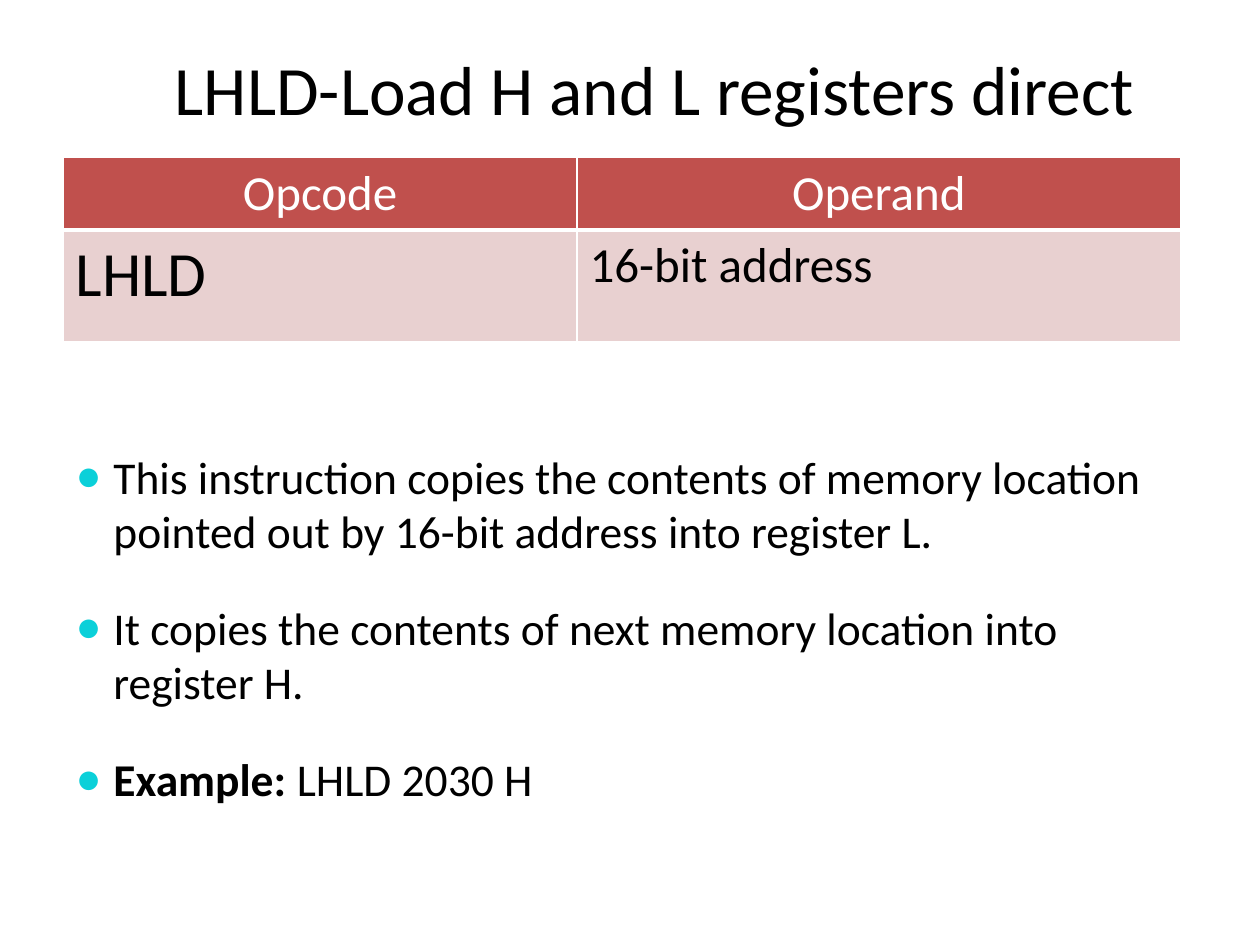
import lxml.etree
import pptx
import pptx.dml.color
import pptx.enum.text
import pptx.oxml.ns
import pptx.util
from pptx.util import Inches

BLACK = pptx.dml.color.RGBColor(0x00, 0x00, 0x00)
WHITE = pptx.dml.color.RGBColor(0xFF, 0xFF, 0xFF)
HEADER_RED = pptx.dml.color.RGBColor(0xC0, 0x50, 0x4D)
ROW_PINK = pptx.dml.color.RGBColor(0xE8, 0xD0, 0xD0)
BULLET_CYAN = pptx.dml.color.RGBColor(0x0B, 0xD0, 0xD9)

FONT_NAME = "Calibri"
CENTER = pptx.enum.text.PP_ALIGN.CENTER
LEFT = pptx.enum.text.PP_ALIGN.LEFT

TITLE = "LHLD-Load H and L registers direct"
TABLE_ROWS = [
    [("Opcode", 28), ("Operand", 28)],
    [("LHLD", 36), ("16-bit address", 28)],
]
BULLETS = [
    [("This instruction copies the contents of memory location pointed out "
      "by 16-bit address into register L.", False)],
    [("It copies the contents of next memory location into register H.", False)],
    [("Example:", True), (" LHLD 2030 H", False)],
]


def add_element(parent, tag, **attributes):
    element = lxml.etree.SubElement(parent, pptx.oxml.ns.qn(tag))
    for name, value in attributes.items():
        element.set(name, str(value))
    return element


def set_font(paragraph, size, color):
    font = paragraph.font
    font.name = FONT_NAME
    font.size = pptx.util.Pt(size)
    font.color.rgb = color


def place(shape, box):
    shape.left, shape.top, shape.width, shape.height = box


def fill_title(shape, box):
    place(shape, box)
    frame = shape.text_frame
    frame.text = TITLE
    frame.auto_size = pptx.enum.text.MSO_AUTO_SIZE.NONE
    frame.vertical_anchor = pptx.enum.text.MSO_ANCHOR.MIDDLE
    paragraph = frame.paragraphs[0]
    paragraph.alignment = CENTER
    set_font(paragraph, 39.6, BLACK)


def add_cell_borders(cell, bottom_width):
    properties = cell._tc.get_or_add_tcPr()
    widths = {"a:lnL": 1, "a:lnR": 1, "a:lnT": 1, "a:lnB": bottom_width}
    for tag, width in widths.items():
        line = add_element(properties, tag, w=pptx.util.Pt(width))
        add_element(add_element(line, "a:solidFill"), "a:srgbClr", val=WHITE)


def add_opcode_table(slide, box):
    table = slide.shapes.add_table(len(TABLE_ROWS), len(TABLE_ROWS[0]), *box).table
    table.columns[0].width = Inches(4.08)
    table.columns[1].width = box[2] - Inches(4.08)
    table.rows[0].height = Inches(0.57)
    table.rows[1].height = box[3] - Inches(0.57)
    for row_index, row in enumerate(TABLE_ROWS):
        is_header = row_index == 0
        for column_index, (text, size) in enumerate(row):
            cell = table.cell(row_index, column_index)
            cell.text = text
            add_cell_borders(cell, 3 if is_header else 1)
            cell.fill.solid()
            cell.fill.fore_color.rgb = HEADER_RED if is_header else ROW_PINK
            paragraph = cell.text_frame.paragraphs[0]
            paragraph.alignment = CENTER if is_header else LEFT
            set_font(paragraph, size, WHITE if is_header else BLACK)
            paragraph.font.bold = False


def add_bullet(paragraph):
    properties = paragraph._p.get_or_add_pPr()
    properties.set("marL", str(Inches(0.3)))
    properties.set("indent", str(Inches(-0.3)))
    add_element(add_element(properties, "a:buClr"), "a:srgbClr", val=BULLET_CYAN)
    add_element(properties, "a:buSzPct", val=95000)
    add_element(properties, "a:buChar", char="●")


def fill_description(shape, box):
    place(shape, box)
    frame = shape.text_frame
    frame.auto_size = pptx.enum.text.MSO_AUTO_SIZE.NONE
    for index, runs in enumerate(BULLETS):
        paragraph = frame.add_paragraph() if index else frame.paragraphs[0]
        add_bullet(paragraph)
        paragraph.space_before = pptx.util.Pt(0)
        paragraph.space_after = pptx.util.Pt(24)
        set_font(paragraph, 26, BLACK)
        for text, bold in runs:
            run = paragraph.add_run()
            run.text = text
            run.font.bold = bold


def main():
    presentation = pptx.Presentation()
    presentation.slide_width = Inches(10)
    presentation.slide_height = Inches(7.5)
    slide = presentation.slides.add_slide(presentation.slide_layouts[1])
    fill_title(slide.shapes.title,
               (Inches(0.62), Inches(0.3), Inches(9.15), Inches(0.79)))
    add_opcode_table(slide, (Inches(0.5), Inches(1.25), Inches(8.87), Inches(1.46)))
    fill_description(slide.placeholders[1],
                     (Inches(0.5), Inches(3.51), Inches(9), Inches(3.4)))
    presentation.save("out.pptx")


if __name__ == "__main__":
    main()
